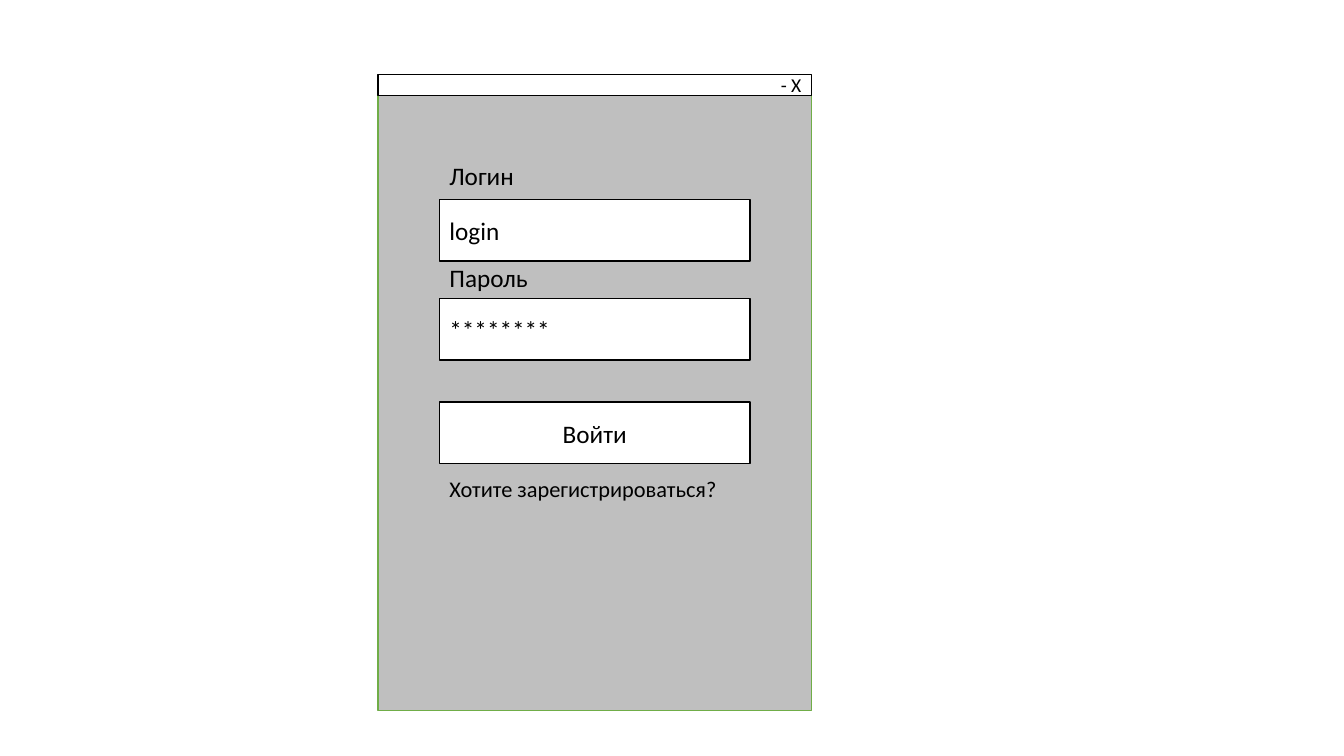
from dataclasses import dataclass

from pptx import Presentation
from pptx.dml.color import RGBColor
from pptx.enum import shapes, text
from pptx.util import Pt

BLACK = RGBColor(0x00, 0x00, 0x00)
WHITE = RGBColor(0xFF, 0xFF, 0xFF)
GRAY = RGBColor(0xBF, 0xBF, 0xBF)
GREEN = RGBColor(0x70, 0xAD, 0x47)
FONT = "Calibri"
LEFT, WIDE = 313.9, 221.8
ALIGN = text.PP_ALIGN


@dataclass
class Box:
    top: float
    high: float
    words: str = ""
    left: float = LEFT
    wide: float = WIDE
    size: int = 18
    align: ALIGN = ALIGN.LEFT
    fill: RGBColor = WHITE
    line: RGBColor = BLACK


@dataclass
class Label:
    top: float
    high: float
    words: str
    size: int = 18


PARTS = [
    Box(68.4, 439.2, left=270, wide=309.6, fill=GRAY, line=GREEN),
    Box(142.6, 44, "login"),
    Label(110.9, 29, "Логин"),
    Box(213.1, 44, "********"),
    Label(183.6, 29, "Пароль"),
    Box(287.3, 44, "Войти", align=ALIGN.CENTER),
    Label(336.2, 26.6, "Хотите зарегистрироваться?", 16),
    Box(53.2, 15.2, "- X", left=270, wide=309.6, size=14, align=ALIGN.RIGHT),
]


def write(shape, words: str, size: int, align: ALIGN) -> None:
    frame = shape.text_frame
    frame.word_wrap = True
    par = frame.paragraphs[0]
    par.text = words
    par.alignment = align
    par.font.name = FONT
    par.font.size = Pt(size)
    par.font.color.rgb = BLACK


def add_box(slide, box: Box) -> None:
    shape = slide.shapes.add_shape(
        shapes.MSO_SHAPE.RECTANGLE,
        Pt(box.left), Pt(box.top), Pt(box.wide), Pt(box.high))
    shape.shadow.inherit = False
    shape.fill.solid()
    shape.fill.fore_color.rgb = box.fill
    shape.line.color.rgb = box.line
    shape.line.width = Pt(1)
    if box.words:
        shape.text_frame.vertical_anchor = text.MSO_ANCHOR.MIDDLE
        write(shape, box.words, box.size, box.align)


def add_label(slide, label: Label) -> None:
    shape = slide.shapes.add_textbox(
        Pt(LEFT), Pt(label.top), Pt(WIDE), Pt(label.high))
    write(shape, label.words, label.size, ALIGN.LEFT)
    shape.text_frame.auto_size = text.MSO_AUTO_SIZE.SHAPE_TO_FIT_TEXT


def main() -> None:
    deck = Presentation()
    deck.slide_width, deck.slide_height = Pt(960), Pt(540)
    slide = deck.slides.add_slide(deck.slide_layouts[6])
    for part in PARTS:
        if isinstance(part, Box):
            add_box(slide, part)
        else:
            add_label(slide, part)
    deck.save("out.pptx")


if __name__ == "__main__":
    main()
